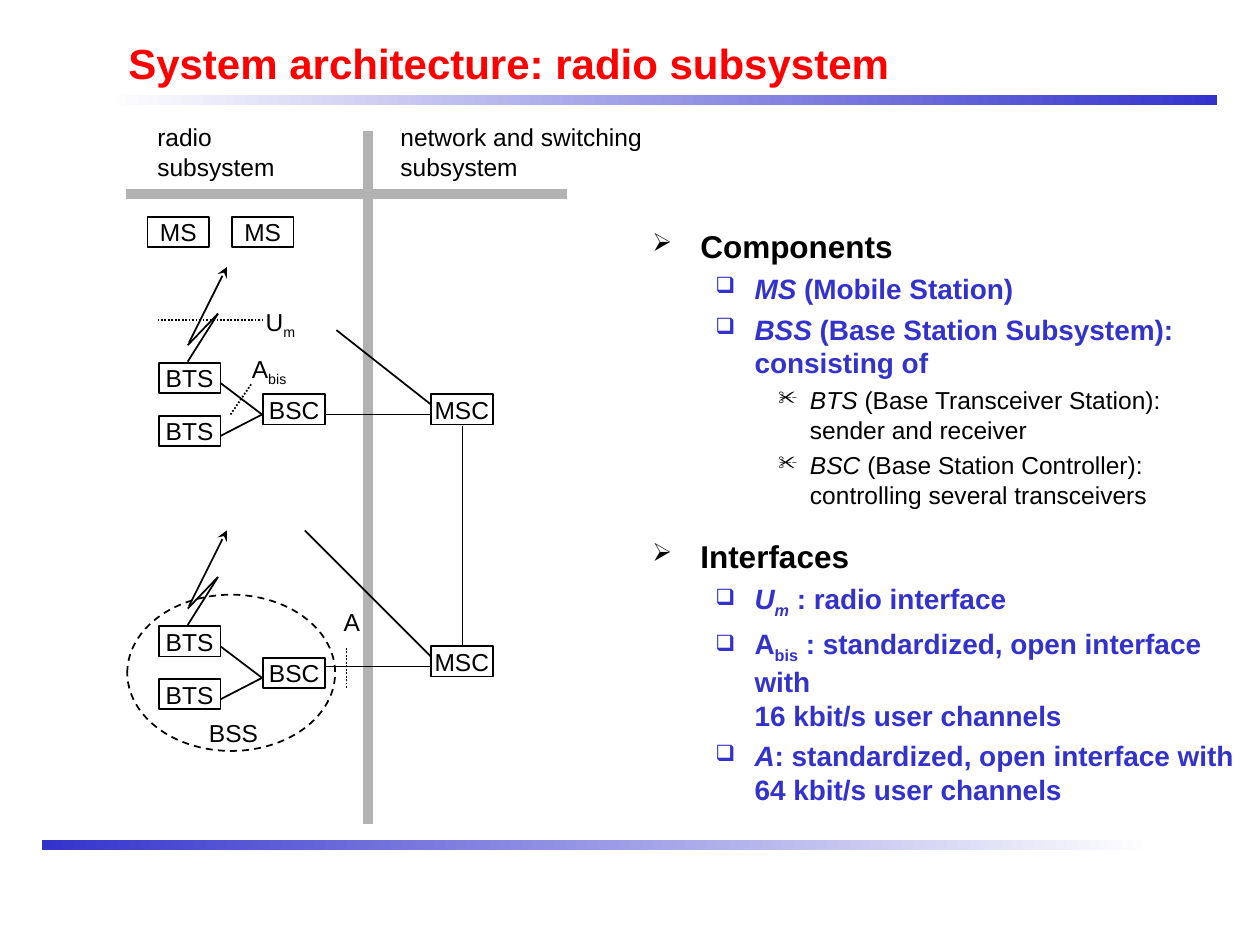
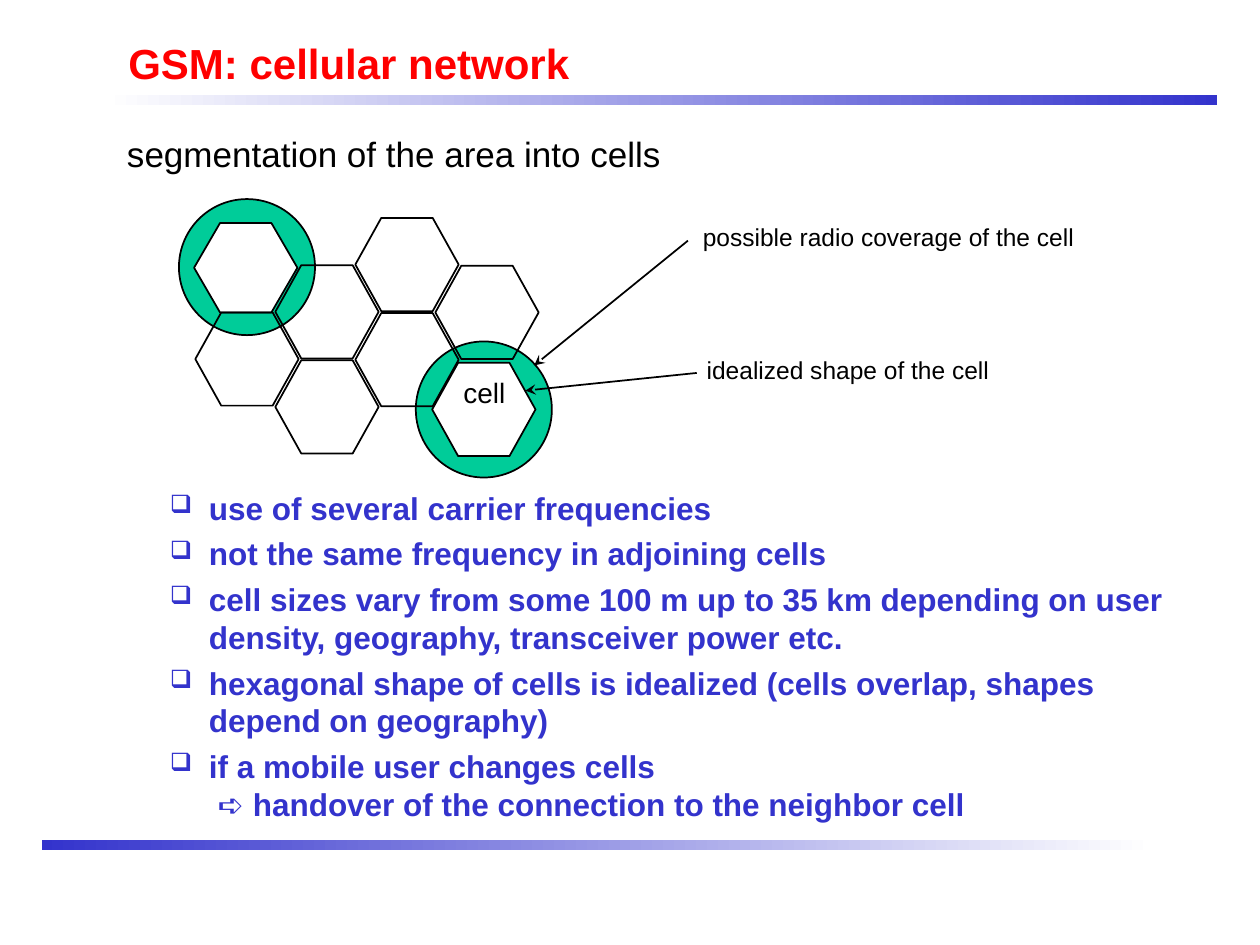
import dataclasses

import lxml.etree
import pptx
import pptx.dml.color
import pptx.enum.dml
import pptx.enum.shapes
import pptx.enum.text
import pptx.oxml.ns
import pptx.util

Inches = pptx.util.Inches
Pt = pptx.util.Pt
RGB = pptx.dml.color.RGBColor.from_string
qn = pptx.oxml.ns.qn
KIND = pptx.enum.shapes.MSO_SHAPE
DASH = pptx.enum.dml.MSO_LINE
ANCHOR = pptx.enum.text.MSO_ANCHOR
ALIGN = pptx.enum.text.PP_ALIGN


@dataclasses.dataclass(frozen=True)
class TextStyle:
    size: int
    color: str = "000000"
    bold: bool = False
    centred: bool = False
    before: float = 0
    margin: float = 0
    hanging: float = 0
    bullet: str = ""


@dataclasses.dataclass(frozen=True)
class Theme:
    font = "Arial"
    black = "000000"
    white = "FFFFFF"
    blue = "3333CC"
    grey = "B2B2B2"
    green = "00CC99"
    bullet_size = "80000"
    subscript = "-25000"
    title = TextStyle(24, "FF0000", bold=True)
    lead = TextStyle(20)
    label = TextStyle(14)
    node = TextStyle(14, centred=True)
    cell = TextStyle(16, centred=True)
    heading = TextStyle(18, bold=True, before=4.5, margin=0.38, hanging=0.38, bullet="➢")
    second_heading = dataclasses.replace(heading, before=15.7)
    item = TextStyle(16, blue, bold=True, before=4, margin=0.81, hanging=0.31, bullet="❑")
    large_item = dataclasses.replace(item, size=18, before=4.5)
    detail = TextStyle(14, before=3.5, margin=1.25, hanging=0.25, bullet="✂")


theme = Theme()


def add_box(slide, at, content=(), kind=None, fill=None, outline=None, dash=None,
            anchor=ANCHOR.TOP, wrap=True):
    """Add a text box, or a preset shape if kind is given.

    Content lists paragraphs as (style, pieces); a piece is a string or
    (string, marks), where mark i is italic and mark s is subscript.
    A fill of two colours is a gradient from left to right.
    """
    place = [Inches(length) for length in at]
    if kind is None:
        box = slide.shapes.add_textbox(*place)
    else:
        box = slide.shapes.add_shape(kind, *place)
        box.shadow.inherit = False
        if isinstance(fill, tuple):
            box.fill.gradient()
            box.fill.gradient_angle = 0
            for stop, color in zip(box.fill.gradient_stops, fill):
                stop.color.rgb = RGB(color)
        elif fill:
            box.fill.solid()
            box.fill.fore_color.rgb = RGB(fill)
        else:
            box.fill.background()
        if outline:
            box.line.color.rgb = RGB(outline)
            box.line.width = Pt(1)
            box.line.dash_style = dash
        else:
            box.line.fill.background()

    frame = box.text_frame
    frame.word_wrap = wrap
    frame.vertical_anchor = anchor
    for number, (style, pieces) in enumerate(content):
        para = frame.add_paragraph() if number else frame.paragraphs[0]
        para.alignment = ALIGN.CENTER if style.centred else ALIGN.LEFT
        para.space_before = Pt(style.before)
        if style.bullet:
            props = para._p.get_or_add_pPr()
            props.set("marL", str(Inches(style.margin)))
            props.set("indent", str(-Inches(style.hanging)))
            bullet_color = lxml.etree.SubElement(props, qn("a:buClr"))
            lxml.etree.SubElement(bullet_color, qn("a:srgbClr"), val=style.color)
            lxml.etree.SubElement(props, qn("a:buSzPct"), val=theme.bullet_size)
            lxml.etree.SubElement(props, qn("a:buChar"), char=style.bullet)
        for piece in pieces:
            words, marks = (piece, "") if isinstance(piece, str) else piece
            for line_number, line in enumerate(words.split("\n")):
                if line_number:
                    para.add_line_break()
                    line_break = para._p.findall(qn("a:br"))[-1]
                    lxml.etree.SubElement(line_break, qn("a:rPr"), sz=str(style.size * 100))
                span = para.add_run()
                span.text = line
                span.font.name = theme.font
                span.font.size = Pt(style.size)
                span.font.bold = style.bold
                span.font.italic = "i" in marks
                span.font.color.rgb = RGB(style.color)
                if "s" in marks:
                    span._r.get_or_add_rPr().set("baseline", theme.subscript)
    return box


def add_line(slide, start, end, color=theme.black, width=1, dash=None, arrow=False):
    line = slide.shapes.add_connector(
        pptx.enum.shapes.MSO_CONNECTOR.STRAIGHT, *[Inches(length) for length in (*start, *end)])
    line.line.color.rgb = RGB(color)
    line.line.width = Pt(width)
    line.line.dash_style = dash
    if arrow:
        lxml.etree.SubElement(line.line._get_or_add_ln(), qn("a:tailEnd"), type="stealth")
    lxml.etree.SubElement(line._element.spPr, qn("a:effectLst"))


deck = pptx.Presentation()
deck.slide_width, deck.slide_height = Inches(10), Inches(7.5)

# Shared bands and titles
pages = []
for title in ("System architecture: radio subsystem", "GSM: cellular network"):
    page = deck.slides.add_slide(deck.slide_layouts[6])
    add_box(page, (0.83, 0.75, 8.83, 0.08), kind=KIND.RECTANGLE, fill=(theme.white, theme.blue))
    add_box(page, (0.33, 6.67, 8.83, 0.08), kind=KIND.RECTANGLE, fill=(theme.blue, theme.white))
    add_box(page, (0.92, 0.25, 8.5, 0.5), [(theme.title, [title])], anchor=ANCHOR.BOTTOM)
    pages.append(page)
architecture, network = pages

# Architecture: component and interface list
add_box(architecture, (5.08, 1.75, 4.92, 4.75), [
    (theme.heading, ["Components"]),
    (theme.item, [("MS", "i"), " (Mobile Station)"]),
    (theme.item, [("BSS", "i"), " (Base Station Subsystem):\nconsisting of"]),
    (theme.detail, [("BTS", "i"), " (Base Transceiver Station):\nsender and receiver"]),
    (theme.detail, [("BSC", "i"), " (Base Station Controller):\ncontrolling several transceivers"]),
    (theme.second_heading, ["Interfaces"]),
    (theme.item, [("U", "i"), ("m", "is"), " : radio interface"]),
    (theme.item, ["A", ("bis", "s"),
                  " : standardized, open interface with \n16 kbit/s user channels"]),
    (theme.item, [("A", "i"), ": standardized, open interface with \n64 kbit/s user channels"]),
])

# Architecture: subsystem divider and labels
add_line(architecture, (2.92, 1.04), (2.92, 6.54), theme.grey, 6)
add_line(architecture, (1, 1.54), (4.5, 1.54), theme.grey, 6)
for at, pieces in [
    ((1.15, 0.92, 1.27, 0.57), ["radio\nsubsystem"]),
    ((3.08, 0.92, 2.33, 0.57), ["network and switching\nsubsystem"]),
    ((2.01, 2.39, 0.65, 0.37), ["U", ("m", "s")]),
    ((1.9, 2.76, 0.65, 0.37), ["A", ("bis", "s")]),
    ((2.63, 4.77, 0.36, 0.33), ["A"]),
    ((1.56, 5.65, 0.69, 0.33), ["BSS"]),
]:
    add_box(architecture, at, [(theme.label, pieces)])

# Architecture: two base station subsystems, each linked to its own MSC
nodes = [("MS", 1.17, 1.72), ("MS", 1.84, 1.72)]
for bss_drop, msc_drop in ((0, 0), (2.09, 2)):
    nodes += [("BTS", 1.26, 2.88 + bss_drop), ("BTS", 1.26, 3.3 + bss_drop),
              ("BSC", 2.09, 3.13 + bss_drop), ("MSC", 3.42, 3.13 + msc_drop)]
    for x1, y1, x2, y2, arrow in [
        (1.49, 2.87, 1.73, 2.49, False),
        (1.73, 2.49, 1.49, 2.74, False),
        (1.5, 2.72, 1.8, 2.12, True),
        (1.75, 3.04, 2.08, 3.29, False),
        (1.75, 3.46, 2.08, 3.29, False),
    ]:
        add_line(architecture, (x1, y1 + bss_drop), (x2, y2 + bss_drop), arrow=arrow)
    add_line(architecture, (2.58, 3.29 + msc_drop), (3.42, 3.29 + msc_drop))
for name, left, top in nodes:
    add_box(architecture, (left, top, 0.49, 0.24), [(theme.node, [name])], KIND.RECTANGLE,
            outline=theme.black, anchor=ANCHOR.MIDDLE, wrap=False)
add_box(architecture, (1.01, 4.72, 1.65, 1.24), kind=KIND.OVAL,
        outline=theme.black, dash=DASH.DASH)
for start, end in [((3.67, 3.38), (3.67, 5.13)), ((3.42, 3.21), (2.67, 2.62)),
                   ((3.42, 5.21), (2.42, 4.21))]:
    add_line(architecture, start, end)
for start, end in [((1.25, 2.54), (2.08, 2.54)), ((1.83, 3.29), (2, 3.04)),
                   ((2.75, 5.46), (2.75, 5.13))]:
    add_line(architecture, start, end, dash=DASH.ROUND_DOT)

# Network: honeycomb of cells, two of them with their radio coverage
hexagons = []
for circle_left, circle_top, left, top, height in [(3.3, 2.71, 3.43, 2.88, 0.74),
                                                   (1.42, 1.58, 1.54, 1.77, 0.71)]:
    add_box(network, (circle_left, circle_top, 1.08, 1.08), kind=KIND.OVAL,
            fill=theme.green, outline=theme.black)
    hexagons.append((left, top, height, theme.white))
for column, row in [(1, 0), (0, 0), (2, 0), (2, 1), (3, 1), (1, 1)]:
    hexagons.append((1.55 + 0.635 * column, 2.48 - 0.375 * column + 0.755 * row, 0.74, None))
for left, top, height, fill in hexagons:
    hexagon = add_box(network, (left, top, 0.82, height), kind=KIND.HEXAGON,
                      fill=fill, outline=theme.black)
    hexagon.adjustments[0] = 0.206 / height
add_line(network, (5.46, 1.91), (4.24, 2.9), arrow=True)
add_line(network, (5.53, 2.96), (4.17, 3.1), arrow=True)

# Network: labels and statements
for at, style, words in [
    ((0.91, 1, 4.6, 0.44), theme.lead, "segmentation of the area into cells"),
    ((5.48, 1.71, 3.81, 0.33), theme.label, "possible radio coverage of the cell"),
    ((5.51, 2.77, 4.21, 0.33), theme.label, "idealized shape of the cell"),
    ((3.48, 2.93, 0.73, 0.37), theme.cell, "cell"),
]:
    add_box(network, at, [(style, [words])])
add_box(network, (0.75, 3.83, 8.92, 2.83), [(theme.large_item, [words]) for words in (
    "use of several carrier frequencies",
    "not the same frequency in adjoining cells",
    "cell sizes vary from some 100 m up to 35 km depending on user density, "
    "geography, transceiver power etc.",
    "hexagonal shape of cells is idealized (cells overlap, shapes depend on geography)",
    "if a mobile user changes cells\n ➪ handover of the connection to the neighbor cell",
)])

deck.save("out.pptx")
